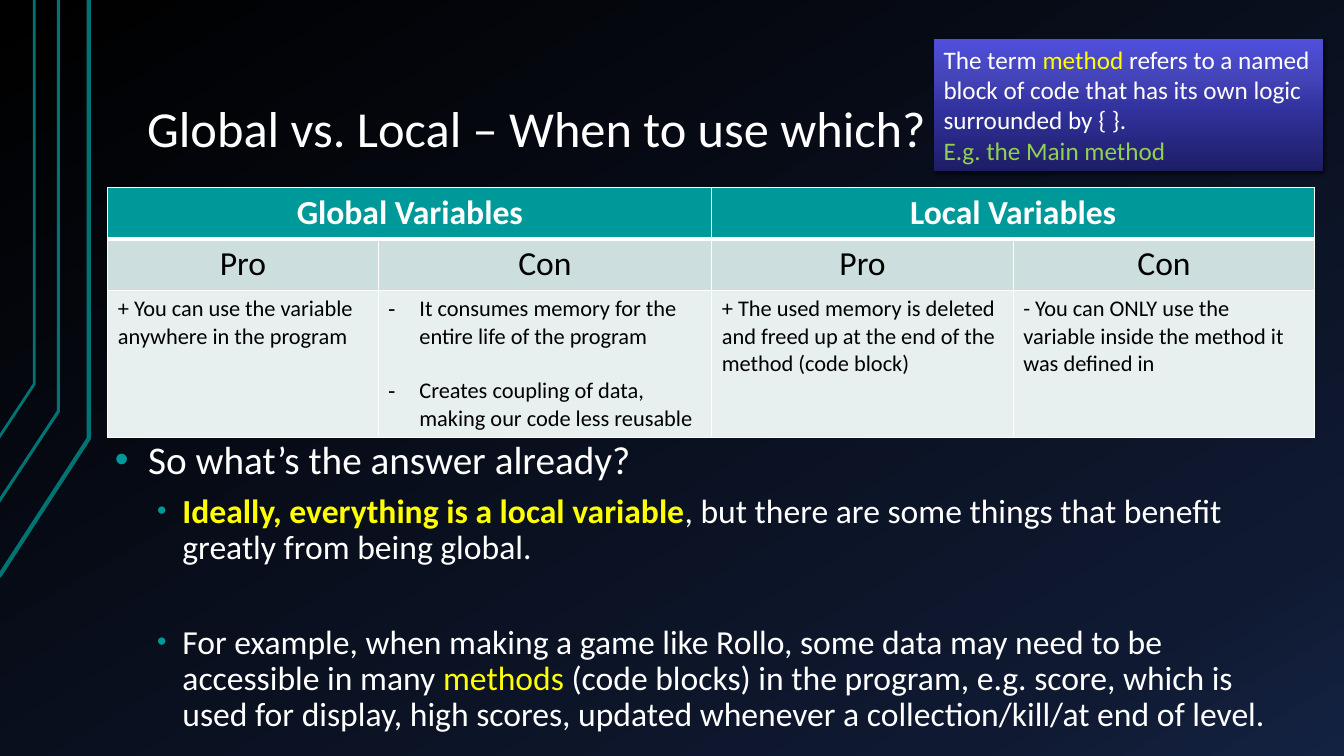
import pptx
import pptx.util
import pptx.dml.color
import pptx.enum.shapes
import pptx.enum.text
import pptx.oxml
import pptx.oxml.ns
import lxml.etree

Inches = pptx.util.Inches
Pt = pptx.util.Pt
qn = pptx.oxml.ns.qn
ALIGN = pptx.enum.text.PP_ALIGN
ANCHOR = pptx.enum.text.MSO_ANCHOR

COLOURS = {
    "white": "FFFFFF", "black": "000000", "yellow": "FFFF00", "green": "92D050",
    "teal": "009999", "trim": "007373", "subhead": "CCDEDE", "body": "E7EFEF",
}
BACKGROUND_STOPS = [(0, "000000"), (85, "0F1931"), (100, "142242")]
CALLOUT_STOPS = [(0, "1D1D66"), (50, "3333A1"), (70, "4444B8"), (100, "4F4FDD")]
TRIM_LINES = [
    (3, [(-0.01, 5.72), (0.88, 4.35), (0.88, 0)]),
    (2.25, [(-0.02, 4.99), (0.58, 4.08), (0.58, 0)]),
    (2, [(-0.01, 4.34), (0.34, 3.81), (0.34, 0)]),
]
COLUMN_WIDTHS = [2.68, 3.31, 2.99, 2.99]
ROW_HEIGHTS = [0.51, 0.51, 1.46]
ROW_FILLS = ["teal", "subhead", "body"]
TABLE_ROWS = [
    [["Global Variables"], [], ["Local Variables"], []],
    [["Pro"], ["Con"], ["Pro"], ["Con"]],
    [["+ You can use the variable anywhere in the program"],
     ["It consumes memory for the entire life of the program",
      "Creates coupling of data, making our code less reusable"],
     ["+ The used memory is deleted and freed up at the end of the method (code block)"],
     ["- You can ONLY use the variable inside the method it was defined in"]],
]


def rgb(name):
    return pptx.dml.color.RGBColor.from_string(COLOURS[name])


def add_element(parent, tag, **attributes):
    element = lxml.etree.SubElement(parent, qn(tag))
    for key, value in attributes.items():
        element.set(key, str(value))
    return element


def set_gradient(owner, fill, stops, angle):
    fill.gradient()
    fill.gradient_angle = 360 - angle
    stop_list = owner.element.find(".//" + qn("a:gsLst"))
    for stop in list(stop_list):
        stop_list.remove(stop)
    for position, colour in stops:
        stop = add_element(stop_list, "a:gs", pos=position * 1000)
        add_element(stop, "a:srgbClr", val=colour)


def add_span(para, text, size=18, colour="white", bold=False):
    span = para.add_run()
    span.text = text
    span.font.name = "Calibri"
    span.font.size = Pt(size)
    span.font.bold = bold
    span.font.color.rgb = rgb(colour)


def add_para(frame, first=False, align=ALIGN.LEFT, level=0, line=None, before=0,
             bullet=None, bullet_colour=None, bullet_size=None, indent=(0, 0)):
    para = frame.paragraphs[0] if first else frame.add_paragraph()
    para.alignment = align
    para.level = level
    para.space_before = Pt(before)
    if line:
        para.line_spacing = line
    if bullet:
        properties = para._p.get_or_add_pPr()
        properties.set("marL", str(Inches(indent[0])))
        properties.set("indent", str(Inches(indent[1])))
        if bullet_colour:
            holder = add_element(properties, "a:buClr")
            add_element(holder, "a:srgbClr", val=COLOURS[bullet_colour])
        if bullet_size:
            add_element(properties, "a:buSzPct", val=bullet_size * 1000)
        add_element(properties, "a:buFont", typeface="Arial")
        add_element(properties, "a:buChar", char=bullet)
    return para


def prepare_frame(frame, anchor=ANCHOR.TOP, side=0.1, top=0.05):
    frame.word_wrap = True
    frame.auto_size = pptx.enum.text.MSO_AUTO_SIZE.NONE
    frame.vertical_anchor = anchor
    frame.margin_left = frame.margin_right = Inches(side)
    frame.margin_top = frame.margin_bottom = Inches(top)


def add_trim_line(page, width, points):
    corners = [(Inches(x), Inches(y)) for x, y in points]
    builder = page.shapes.build_freeform(*corners[0])
    builder.add_line_segments(corners[1:], close=False)
    shape = builder.convert_to_shape()
    shape.shadow.inherit = False
    shape.fill.background()
    shape.line.color.rgb = rgb("trim")
    shape.line.width = Pt(width)


def add_title(page, text):
    title = page.shapes.title
    title.left, title.top = Inches(1.33), Inches(0.3)
    title.width, title.height = Inches(11.33), Inches(1.34)
    prepare_frame(title.text_frame, anchor=ANCHOR.BOTTOM, side=0.13, top=0.07)
    para = add_para(title.text_frame, first=True, line=0.9)
    add_span(para, text, size=36)


def add_answer(page):
    box = page.shapes.add_textbox(Inches(1.01), Inches(4.3), Inches(11.97), Inches(3.15))
    frame = box.text_frame
    prepare_frame(frame, side=0.13, top=0.07)
    shared = dict(line=0.9, bullet="•", bullet_colour="teal")
    detail = dict(shared, level=1, bullet_size=80, indent=(0.67, -0.25))
    para = add_para(frame, first=True, indent=(0.33, -0.33), **shared)
    add_span(para, "So what’s the answer already?", size=28)
    para = add_para(frame, before=8, **detail)
    add_span(para, "Ideally, everything is a local variable", size=24, colour="yellow", bold=True)
    add_span(para, ", but there are some things that benefit greatly from being global.", size=24)
    para = add_para(frame, before=42, **detail)
    add_span(para, "For example, when making a game like Rollo, some data may need to be "
             "accessible in many ", size=24)
    add_span(para, "methods", size=24, colour="yellow")
    add_span(para, " (code blocks) in the program, e.g. score, which is used for display, "
             "high scores, updated whenever a collection/kill/at end of level.", size=24)


def set_borders(cell, top, bottom):
    properties = cell._tc.get_or_add_tcPr()
    for side, width in (("L", 1), ("R", 1), ("T", top), ("B", bottom)):
        border = add_element(properties, "a:ln" + side, w=Pt(width))
        fill = add_element(border, "a:solidFill")
        add_element(fill, "a:srgbClr", val=COLOURS["white"])


def fill_cell(cell, texts, row):
    set_borders(cell, top=3 if row == 1 else 1, bottom=3 if row == 0 else 1)
    cell.fill.solid()
    cell.fill.fore_color.rgb = rgb(ROW_FILLS[row])
    listed = dict(bullet="-", indent=(0.31, -0.31)) if len(texts) > 1 else {}
    for index, text in enumerate(texts):
        para = add_para(cell.text_frame, first=index == 0, before=19.5 * index,
                        align=ALIGN.LEFT if row == 2 else ALIGN.CENTER, **listed)
        add_span(para, text, size=16 if row == 2 else 24,
                 colour="black" if row else "white", bold=row == 0)


def add_comparison(page):
    table = page.shapes.add_table(3, 4, Inches(1.07), Inches(1.86), Inches(sum(COLUMN_WIDTHS)),
                                  Inches(sum(ROW_HEIGHTS))).table
    for column, width in zip(table.columns, COLUMN_WIDTHS):
        column.width = Inches(width)
    for row, height in zip(table.rows, ROW_HEIGHTS):
        row.height = Inches(height)
    for start in (0, 2):
        table.cell(0, start).merge(table.cell(0, start + 1))
    for row, texts in enumerate(TABLE_ROWS):
        for column, cell_texts in enumerate(texts):
            fill_cell(table.cell(row, column), cell_texts, row)


def add_callout(page):
    shape = page.shapes.add_shape(pptx.enum.shapes.MSO_SHAPE.RECTANGLE, Inches(9.26),
                                  Inches(0.39), Inches(3.86), Inches(1.31))
    set_gradient(shape, shape.fill, CALLOUT_STOPS, 270)
    shape.line.fill.background()
    shape.shadow.inherit = False
    effects = shape.element.spPr.find(qn("a:effectLst"))
    shadow = add_element(effects, "a:outerShdw", blurRad=Pt(3), dist=Pt(2), dir=45 * 60000)
    colour = add_element(shadow, "a:srgbClr", val=COLOURS["black"])
    add_element(colour, "a:alpha", val=60000)
    frame = shape.text_frame
    prepare_frame(frame)
    para = add_para(frame, first=True)
    add_span(para, "The term ")
    add_span(para, "method", colour="yellow")
    add_span(para, " refers to a named block of code that has its own logic surrounded by { }.")
    add_span(add_para(frame), "E.g. the Main method", colour="green")


def main():
    deck = pptx.Presentation()
    deck.slide_width, deck.slide_height = Inches(13.33), Inches(7.5)
    page = deck.slides.add_slide(deck.slide_layouts[5])
    set_gradient(page, page.background.fill, BACKGROUND_STOPS, 60)
    for width, points in TRIM_LINES:
        add_trim_line(page, width, points)
    add_title(page, "Global vs. Local – When to use which?")
    add_answer(page)
    add_comparison(page)
    add_callout(page)
    deck.save("out.pptx")


if __name__ == "__main__":
    main()
